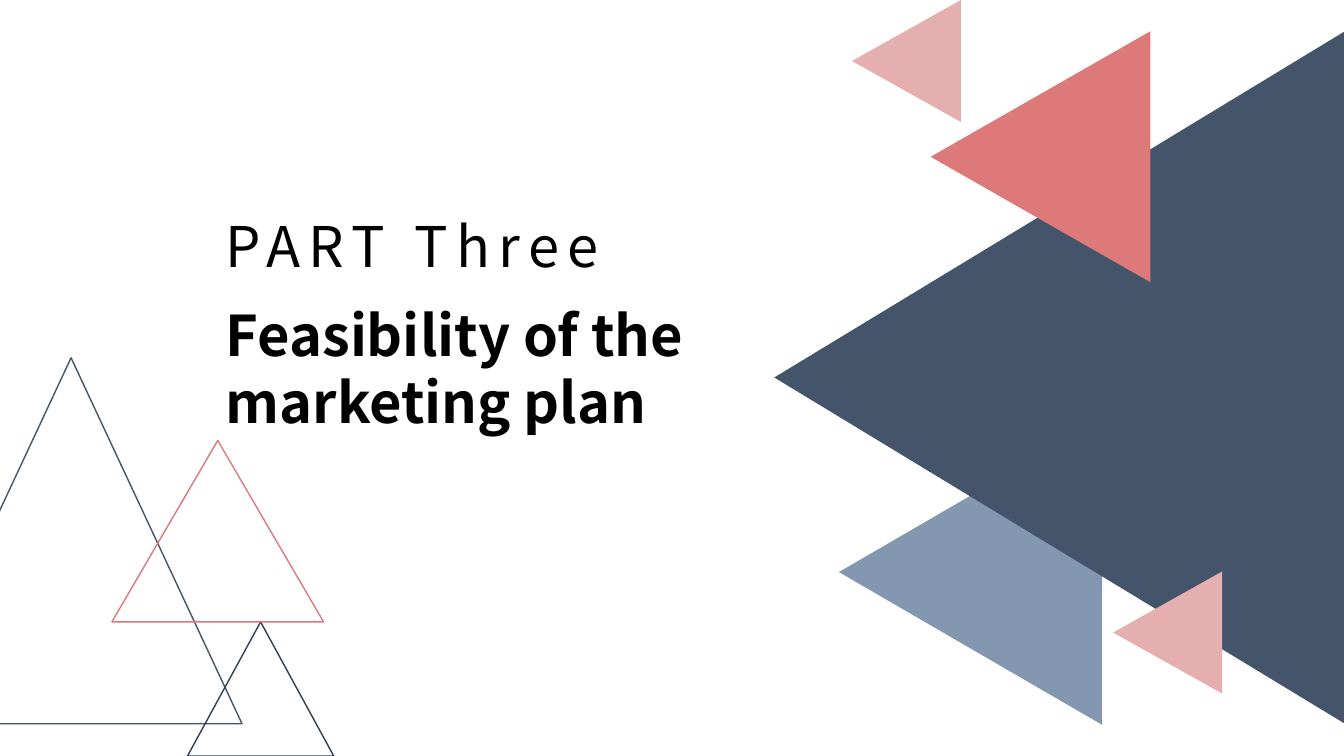
import dataclasses
import pptx
import pptx.dml.color
import pptx.enum.shapes
import pptx.enum.text
import pptx.util

Inches = pptx.util.Inches
Pt = pptx.util.Pt


@dataclasses.dataclass(frozen=True)
class Theme:
    navy: str = "44546A"
    deep_navy: str = "333F50"
    steel: str = "8497B0"
    coral: str = "DD7979"
    pink: str = "E5AFAF"
    ink: str = "000000"
    font: str = "Noto Sans CJK SC"
    heading_size: int = 40
    heading_spacing: int = 6
    outline: int = 1


THEME = Theme()


def colour(value):
    return pptx.dml.color.RGBColor.from_string(value)


def add_triangle(page, left, top, width, height):
    triangle = page.shapes.add_shape(
        pptx.enum.shapes.MSO_SHAPE.ISOSCELES_TRIANGLE,
        Inches(left), Inches(top), Inches(width), Inches(height))
    triangle.shadow.inherit = False
    return triangle


def add_left_pointer(page, left, top, width, height, fill):
    shift = (height - width) / 2
    triangle = add_triangle(page, left - shift, top + shift, height, width)
    triangle.rotation = 270
    triangle.fill.solid()
    triangle.fill.fore_color.rgb = colour(fill)
    triangle.line.fill.background()


def add_outline(page, left, top, width, height, line):
    triangle = add_triangle(page, left, top, width, height)
    triangle.fill.background()
    triangle.line.color.rgb = colour(line)
    triangle.line.width = Pt(THEME.outline)


def add_filled_cluster(page, left, top):
    for across, down, width, height, fill in (
        (0.64, 4.16, 2.61, 3.03, THEME.steel),
        (0, 0.31, 5.66, 6.87, THEME.navy),
        (1.55, 0.31, 2.18, 2.49, THEME.coral),
        (0.77, 0, 1.08, 1.21, THEME.pink),
        (3.36, 5.67, 1.08, 1.21, THEME.pink),
    ):
        add_left_pointer(page, left + across, top + down, width, height, fill)


def add_outline_cluster(page, left, top):
    for across, down, width, height, line in (
        (0, 0, 3.39, 3.63, THEME.navy),
        (2.85, 2.62, 1.45, 1.33, THEME.deep_navy),
        (2.1, 0.82, 2.1, 1.8, THEME.coral),
    ):
        add_outline(page, left + across, top + down, width, height, line)


def format_heading(box, text, left, top, width, height, bold):
    box.left, box.top = Inches(left), Inches(top)
    box.width, box.height = Inches(width), Inches(height)
    frame = box.text_frame
    frame.text = text
    frame.word_wrap = True
    frame.auto_size = pptx.enum.text.MSO_AUTO_SIZE.SHAPE_TO_FIT_TEXT
    frame.vertical_anchor = pptx.enum.text.MSO_ANCHOR.TOP
    frame.margin_left = frame.margin_right = Inches(0.13)
    frame.margin_top = frame.margin_bottom = Inches(0.07)
    para = frame.paragraphs[0]
    para.alignment = pptx.enum.text.PP_ALIGN.LEFT
    span = para.runs[0]
    span.font.name = THEME.font
    span.font.size = Pt(THEME.heading_size)
    span.font.bold = bold
    span.font.color.rgb = colour(THEME.ink)
    return span


def add_headings(page, left, top):
    format_heading(page.shapes.title, "Feasibility of the marketing plan",
                   left, top + 0.88, 6.21, 2.15, True)
    part = page.shapes.add_textbox(0, 0, 0, 0)
    span = format_heading(part, "PART Three", left, top, 4.56, 0.8, False)
    span.font._element.set("spc", str(THEME.heading_spacing * 100))


def build_section_page(deck):
    page = deck.slides.add_slide(deck.slide_layouts.get_by_name("Title Only"))
    page.background.fill.solid()
    page.background.fill.fore_color.rgb = colour("FFFFFF")
    add_filled_cluster(page, 7.68, 0)
    add_outline_cluster(page, -0.99, 3.55)
    add_headings(page, 2.11, 2.03)


def main():
    deck = pptx.Presentation()
    deck.slide_width, deck.slide_height = Inches(13.33), Inches(7.5)
    build_section_page(deck)
    deck.save("out.pptx")


if __name__ == "__main__":
    main()
